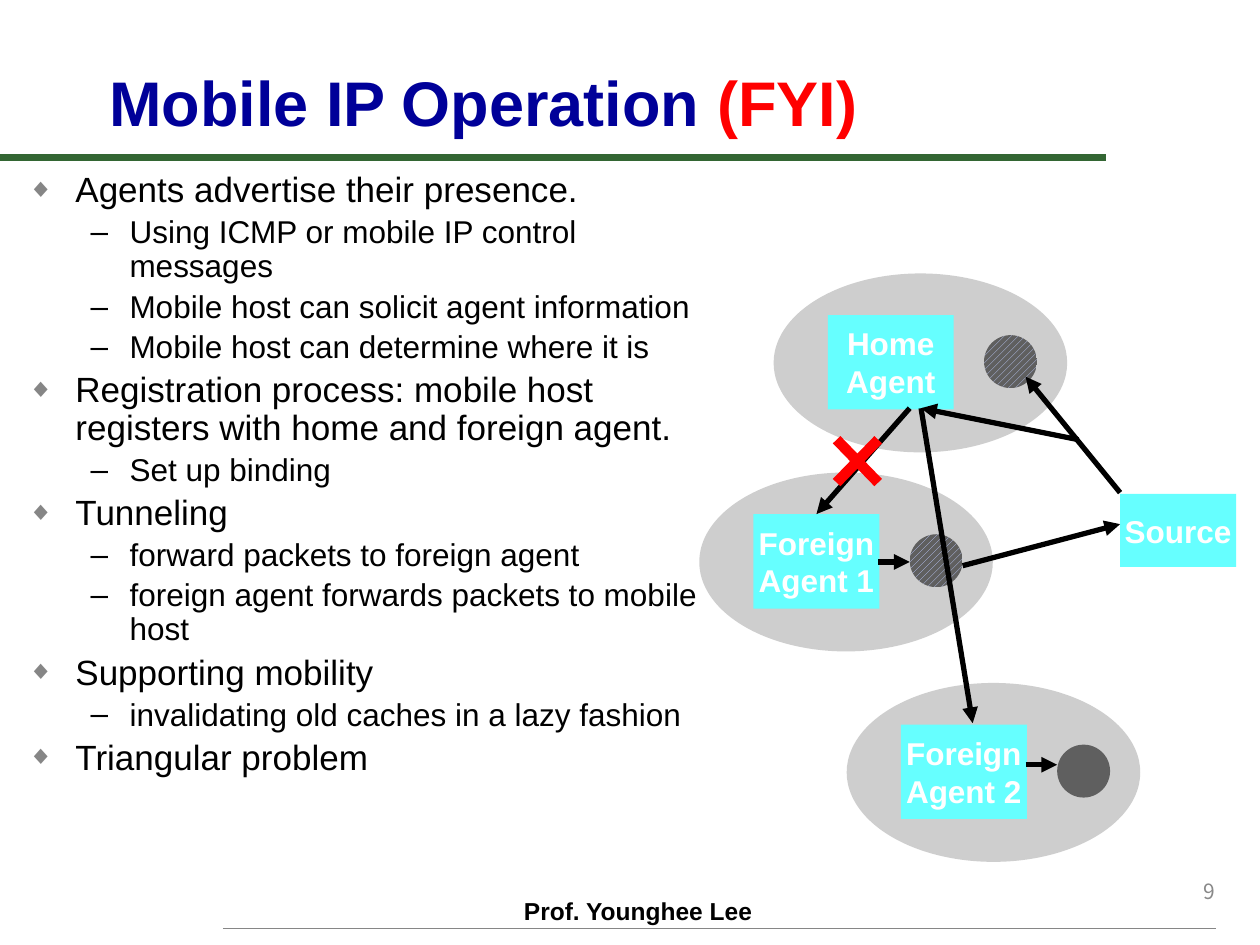
from lxml import etree
from pptx import Presentation
from pptx.dml.color import RGBColor
from pptx.enum.dml import MSO_PATTERN
from pptx.enum.shapes import MSO_CONNECTOR, MSO_SHAPE
from pptx.enum.text import MSO_ANCHOR, PP_ALIGN
from pptx.oxml.ns import qn
from pptx.util import Inches, Pt

STRAIGHT = MSO_CONNECTOR.STRAIGHT
OVAL, RECTANGLE = MSO_SHAPE.OVAL, MSO_SHAPE.RECTANGLE
TOP, MIDDLE, BOTTOM = MSO_ANCHOR.TOP, MSO_ANCHOR.MIDDLE, MSO_ANCHOR.BOTTOM
LEFT, CENTER, RIGHT = PP_ALIGN.LEFT, PP_ALIGN.CENTER, PP_ALIGN.RIGHT
HATCH = MSO_PATTERN.WIDE_UPWARD_DIAGONAL

BLACK = RGBColor(0x00, 0x00, 0x00)
WHITE = RGBColor(0xFF, 0xFF, 0xFF)
RED = RGBColor(0xFF, 0x00, 0x00)
NAVY = RGBColor(0x00, 0x00, 0x99)
GREEN = RGBColor(0x33, 0x66, 0x33)
CYAN = RGBColor(0x66, 0xFF, 0xFF)
RULE_GRAY = RGBColor(0x86, 0x86, 0x86)
NUMBER_GRAY = RGBColor(0x89, 0x89, 0x89)
NETWORK_GRAY = RGBColor(0xCE, 0xCE, 0xCE)
HOST_GRAY = RGBColor(0x5F, 0x5F, 0x5F)
HATCH_BLUE = RGBColor(0xC1, 0xCE, 0xFF)

# Per level: left margin, hanging indent, text size, bullet, bullet colour, bullet percent
LEVELS = [
    (0.38, 0.38, 20, "◆", RULE_GRAY, 75),
    (0.81, 0.31, 18, "–", BLACK, 100),
]
BODY = [
    (0, "Agents advertise their presence."),
    (1, "Using ICMP or mobile IP control messages"),
    (1, "Mobile host can solicit agent information"),
    (1, "Mobile host can determine where it is"),
    (0, "Registration process: mobile host registers with home and foreign agent."),
    (1, "Set up binding"),
    (0, "Tunneling"),
    (1, "forward packets to foreign agent"),
    (1, "foreign agent forwards packets to mobile host"),
    (0, "Supporting mobility"),
    (1, "invalidating old caches in a lazy fashion"),
    (0, "Triangular problem"),
]

# Left and top of each network, its agent's name, and whether its host has moved away
NETWORKS = [
    (5.55, 3.75, ["Foreign", "Agent 1"], True),
    (6.72, 5.42, ["Foreign", "Agent 2"], False),
    (6.14, 2.17, ["Home", "Agent"], True),
]
ARROWS = [
    (8.89, 3.91, 8.14, 2.99),  # source to home host
    (7.22, 3.24, 6.48, 4.08),  # home agent to foreign agent 1
    (8.56, 3.49, 7.31, 3.24),  # redirected to home agent
    (6.97, 4.46, 7.22, 4.46),  # foreign agent 1 to host
    (7.64, 4.49, 8.89, 4.16),  # host to source
    (7.31, 3.24, 7.72, 5.74),  # home agent to foreign agent 2
    (8.14, 6.07, 8.39, 6.07),  # foreign agent 2 to host
]


def add_run(paragraph, text, size, color, bold=False, font="Arial"):
    run = paragraph.add_run()
    run.text = text
    run.font.name = font
    run.font.size = Pt(size)
    run.font.bold = bold
    run.font.color.rgb = color


def add_text_box(slide, left, top, width, height, anchor=TOP, align=LEFT):
    box = slide.shapes.add_textbox(Inches(left), Inches(top), Inches(width), Inches(height))
    frame = box.text_frame
    frame.word_wrap = True
    frame.vertical_anchor = anchor
    frame.paragraphs[0].alignment = align
    return frame


def add_line(slide, x1, y1, x2, y2, color, width, arrow=False):
    line = slide.shapes.add_connector(STRAIGHT, Inches(x1), Inches(y1), Inches(x2), Inches(y2))
    line.line.color.rgb = color
    line.line.width = Pt(width)
    if arrow:
        etree.SubElement(line.line._get_or_add_ln(), qn("a:tailEnd"), type="triangle")
    etree.SubElement(line._element.spPr, qn("a:effectLst"))


def add_filled_shape(slide, kind, left, top, width, height, color):
    shape = slide.shapes.add_shape(kind, Inches(left), Inches(top), Inches(width), Inches(height))
    shape.shadow.inherit = False
    shape.fill.solid()
    shape.fill.fore_color.rgb = color
    shape.line.fill.background()
    return shape


def add_label_box(slide, left, top, width, height, lines):
    frame = add_filled_shape(slide, RECTANGLE, left, top, width, height, CYAN).text_frame
    frame.word_wrap = False
    frame.vertical_anchor = MIDDLE
    for index, text in enumerate(lines):
        paragraph = frame.add_paragraph() if index else frame.paragraphs[0]
        paragraph.alignment = CENTER
        add_run(paragraph, text, 18, WHITE, bold=True)


def add_network(slide, left, top, agent, moved):
    add_filled_shape(slide, OVAL, left, top, 2.33, 1.42, NETWORK_GRAY)
    add_label_box(slide, left + 0.43, top + 0.33, 1, 0.75, agent)
    host = add_filled_shape(slide, OVAL, left + 1.67, top + 0.49, 0.42, 0.42, HOST_GRAY)
    if moved:
        host.fill.patterned()
        host.fill.pattern = HATCH
        host.fill.fore_color.rgb = HATCH_BLUE
        host.fill.back_color.rgb = HOST_GRAY


def format_bullet(paragraph, level):
    margin, hanging, _, character, color, percent = LEVELS[level]
    paragraph.level = level
    paragraph.line_spacing = 0.9
    properties = paragraph._p.get_or_add_pPr()
    properties.set("marL", str(Inches(margin)))
    properties.set("indent", str(-Inches(hanging)))
    before = etree.SubElement(properties, qn("a:spcBef"))
    etree.SubElement(before, qn("a:spcPct"), val="20000")
    bullet_color = etree.SubElement(properties, qn("a:buClr"))
    etree.SubElement(bullet_color, qn("a:srgbClr"), val=str(color))
    etree.SubElement(properties, qn("a:buSzPct"), val=str(percent * 1000))
    etree.SubElement(properties, qn("a:buFont"), typeface="Arial")
    etree.SubElement(properties, qn("a:buChar"), char=character)


def add_body(slide):
    frame = add_text_box(slide, 0.12, 1.32, 5.59, 4.75)
    for index, (level, text) in enumerate(BODY):
        paragraph = frame.add_paragraph() if index else frame.paragraphs[0]
        format_bullet(paragraph, level)
        add_run(paragraph, text, LEVELS[level][2], BLACK)


def main():
    presentation = Presentation()
    presentation.slide_width = Inches(10)
    presentation.slide_height = Inches(7.5)
    slide = presentation.slides.add_slide(presentation.slide_layouts[6])

    # Rules, footer and slide number
    add_line(slide, 0, 1.25, 8.78, 1.25, GREEN, 4)
    add_line(slide, 1.77, 7.37, 9.65, 7.37, RULE_GRAY, 1)
    footer = add_text_box(slide, 4.06, 7.06, 2.08, 0.33)
    add_run(footer.paragraphs[0], "Prof. Younghee Lee", 14, BLACK, bold=True)
    number = add_text_box(slide, 7.66, 6.82, 2.08, 0.5, MIDDLE, RIGHT)
    add_run(number.paragraphs[0], "9", 12, NUMBER_GRAY, font="Noto Sans CJK KR")

    # Title and bullets
    title = add_text_box(slide, 0.77, 0.44, 8.15, 0.71, BOTTOM).paragraphs[0]
    add_run(title, "Mobile IP Operation ", 36, NAVY, bold=True)
    add_run(title, "(FYI)", 36, RED, bold=True)
    add_body(slide)

    # Network diagram
    for network in NETWORKS:
        add_network(slide, *network)
    add_label_box(slide, 8.89, 3.92, 0.92, 0.58, ["Source"])
    for arrow in ARROWS:
        add_line(slide, *arrow, BLACK, 3, arrow=True)

    # Cross over the broken route
    add_line(slide, 6.64, 3.49, 6.97, 3.83, RED, 6)
    add_line(slide, 6.97, 3.49, 6.64, 3.83, RED, 6)

    presentation.save("out.pptx")


if __name__ == "__main__":
    main()
